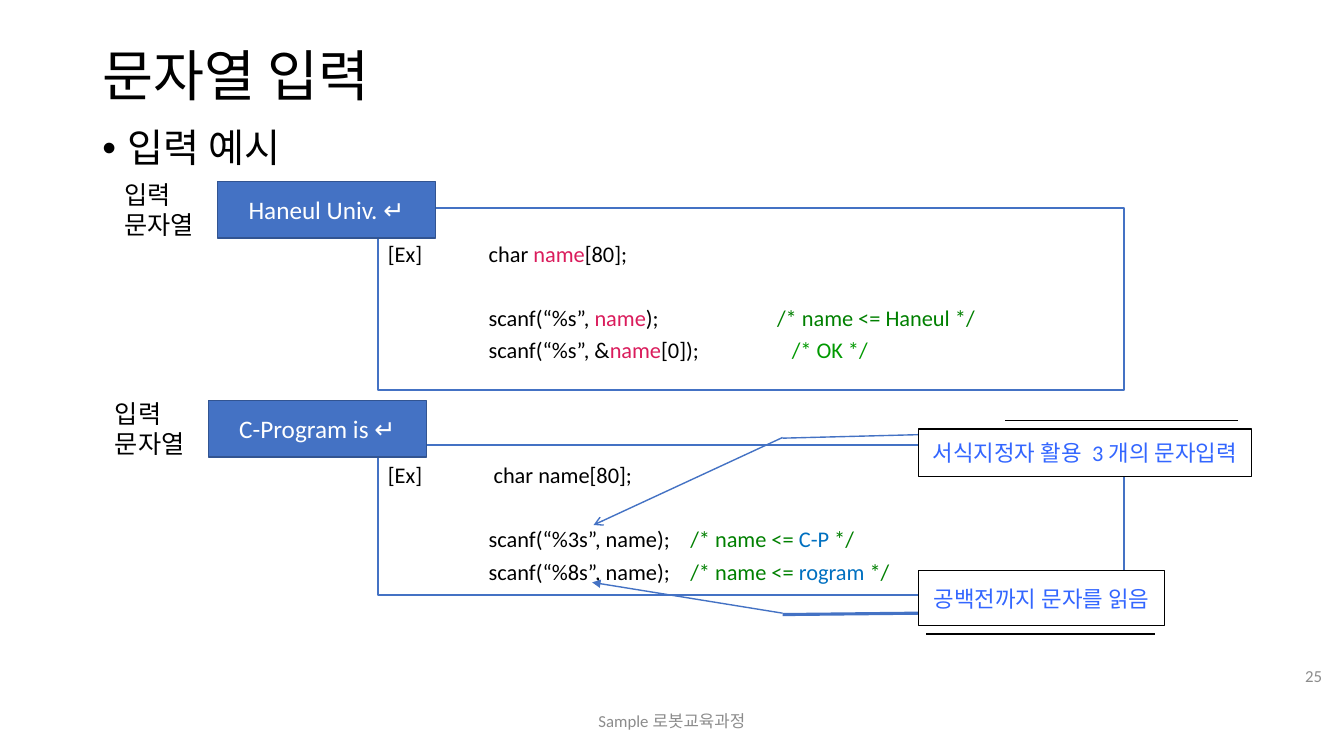
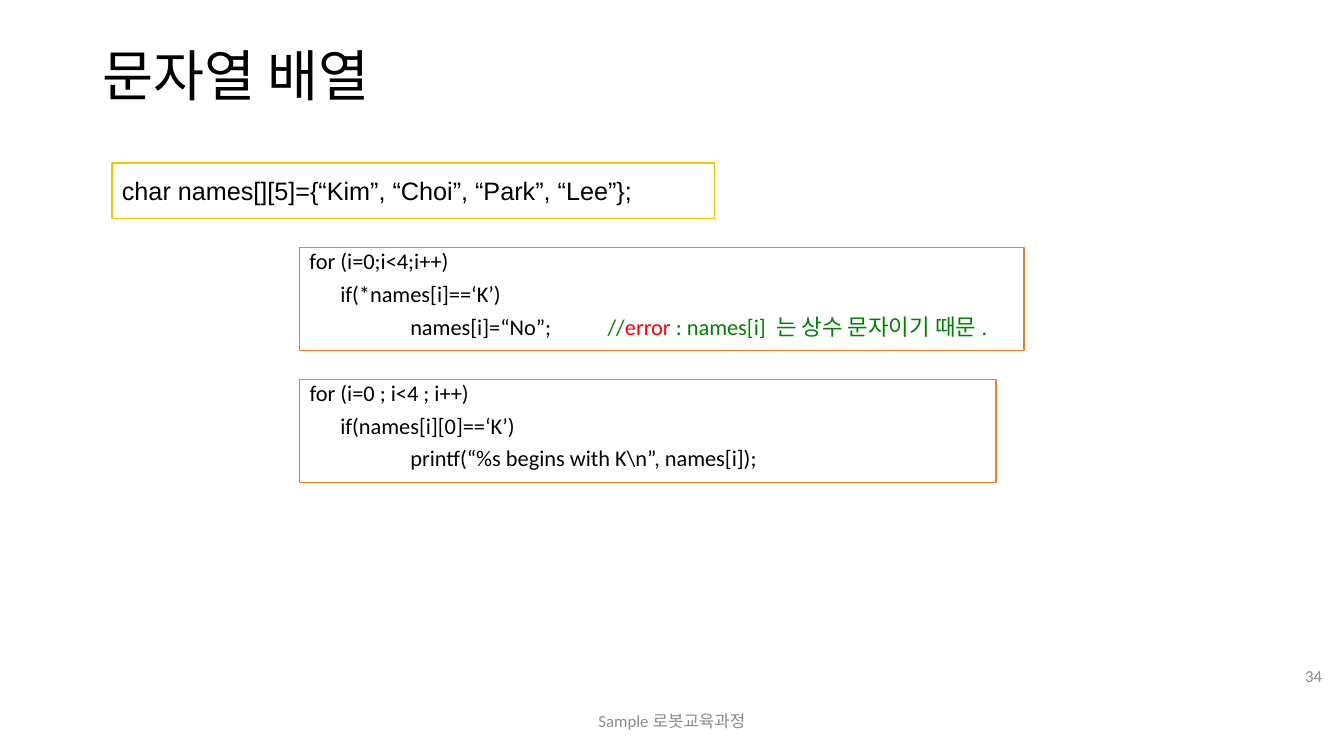
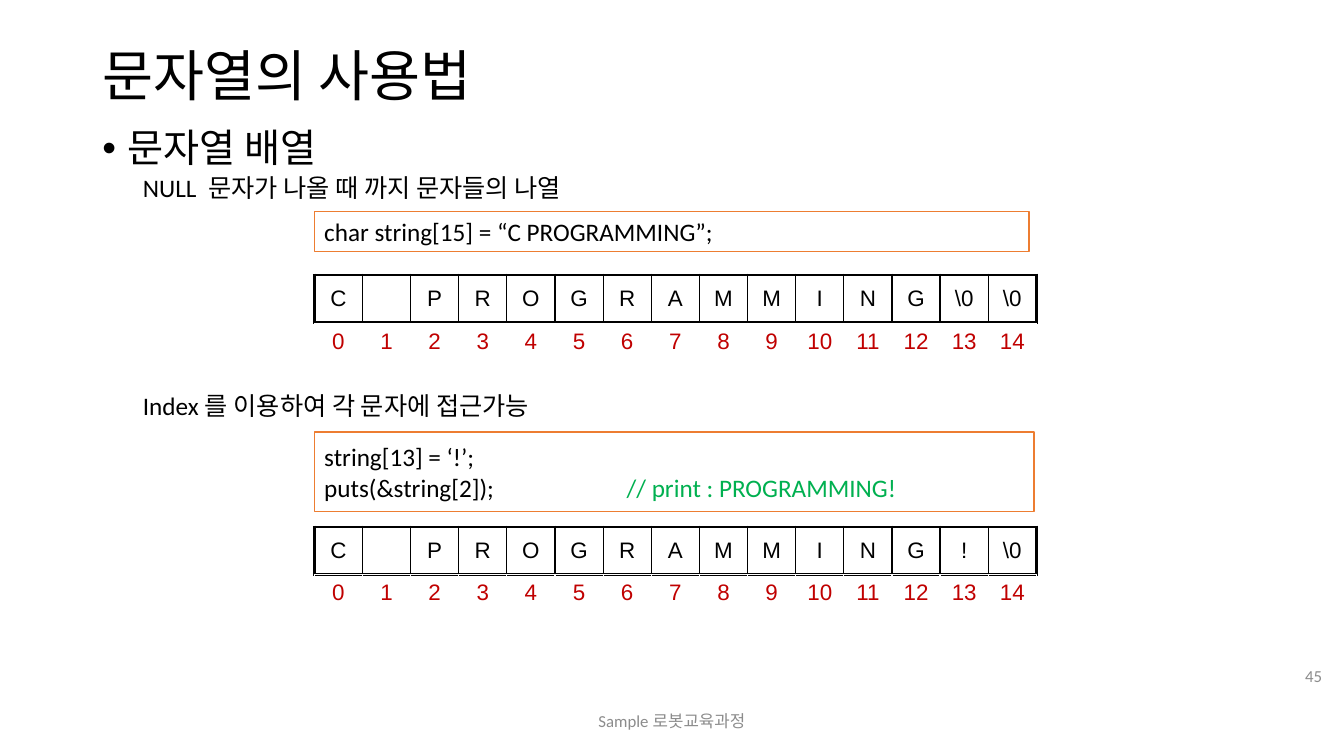
from pptx import Presentation
from pptx.dml.color import RGBColor
from pptx.enum.shapes import MSO_CONNECTOR, MSO_SHAPE
from pptx.enum.text import MSO_ANCHOR, PP_ALIGN
from pptx.util import Pt
from lxml import etree

RECT, CALLOUT = MSO_SHAPE.RECTANGLE, MSO_SHAPE.LINE_CALLOUT_1
STRAIGHT = MSO_CONNECTOR.STRAIGHT
LEFT, CENTER, RIGHT = PP_ALIGN.LEFT, PP_ALIGN.CENTER, PP_ALIGN.RIGHT
TOP, MIDDLE = MSO_ANCHOR.TOP, MSO_ANCHOR.MIDDLE
A = "{http://schemas.openxmlformats.org/drawingml/2006/main}"

COLORS = {
    "black": "000000", "white": "FFFFFF", "gray": "8C8C8C",
    "blue": "4472C4", "navy": "325491", "orange": "ED7D31", "gold": "FFC000",
    "variable": "DA1C5C", "comment": "008000", "ok": "009900", "value": "0070C0",
    "note": "3366FF", "error": "FF0000", "print": "00B050", "index": "C00000",
}
RGB = {name: RGBColor.from_string(code) for name, code in COLORS.items()}


def add_box(slide, at, lines, size, color="black", font="Calibri", fill="white",
            line=None, kind=RECT, align=LEFT, anchor=MIDDLE, spacing=None, wrap=True):
    """Add a text box, or a shape if it has a line; each line is a list of (text, colour)."""
    at = [Pt(length) for length in at]
    if line:
        box = slide.shapes.add_shape(kind, *at)
        box.shadow.inherit = False
        box.fill.solid()
        box.fill.fore_color.rgb = RGB[fill]
        box.line.color.rgb = RGB[line]
        box.line.width = Pt(1)
    else:
        box = slide.shapes.add_textbox(*at)
    frame = box.text_frame
    frame.word_wrap = wrap
    frame.vertical_anchor = anchor
    for number, runs in enumerate(lines):
        paragraph = frame.add_paragraph() if number else frame.paragraphs[0]
        paragraph.alignment = align
        if spacing:
            paragraph.line_spacing = spacing
        for text, run_color in [(runs, color)] if isinstance(runs, str) else runs:
            run = paragraph.add_run()
            run.text = text
            run.font.size = Pt(size)
            run.font.name = font
            run.font.color.rgb = RGB[run_color]
    return box


def set_tabs(box, *stops_by_line):
    """Give each paragraph of a box its own tab stops."""
    for paragraph, stops in zip(box.text_frame.paragraphs, stops_by_line):
        tabs = etree.SubElement(paragraph._p.get_or_add_pPr(), A + "tabLst")
        for stop in stops:
            etree.SubElement(tabs, A + "tab", pos=str(Pt(stop)), algn="l")


prs = Presentation()
prs.slide_width, prs.slide_height = Pt(960), Pt(540)

# Shared title, bullet heading, footer and page number
slides = []
for title, heading, page in [("문자열 입력", "입력 예시", "25"),
                             ("문자열 배열", None, "34"),
                             ("문자열의 사용법", "문자열 배열", "45")]:
    slide = prs.slides.add_slide(prs.slide_layouts[6])
    add_box(slide, (66, 29, 828, 54), [title], 39.6, spacing=0.9)
    if heading:
        body = add_box(slide, (66, 88.5, 828, 398), [heading], 28, anchor=TOP, spacing=0.9)
        bullet = body.text_frame.paragraphs[0]._p.get_or_add_pPr()
        bullet.set("marL", str(Pt(18)))
        bullet.set("indent", str(Pt(-18)))
        etree.SubElement(bullet, A + "buFont", typeface="Arial")
        etree.SubElement(bullet, A + "buChar", char="•")
    add_box(slide, (318, 500.5, 324, 29), ["Sample로봇교육과정"], 12, "gray", align=CENTER)
    add_box(slide, (906.5, 468.5, 45, 29), [page], 12, "gray", align=RIGHT)
    slides.append(slide)
input_slide, array_slide, usage_slide = slides

# Input: code examples
word_code = add_box(input_slide, (270, 148.5, 533, 130), [
    [("[Ex]\tchar ", "black"), ("name", "variable"), ("[80];", "black")],
    [("\tscanf(“%s”, ", "black"), ("name", "variable"), (");", "black"),
     ("\t/* name <= Haneul */", "comment")],
    [("\tscanf(“%s”, &", "black"), ("name", "variable"), ("[0]);", "black"),
     ("\t/* OK */", "ok")],
], 16, line="blue", spacing=1.2)
set_tabs(word_code, [72], [72, 278], [72, 288.5])

width_code = add_box(input_slide, (270, 318, 533, 107), [
    "[Ex]\tchar name[80];",
    [("\tscanf(“%3s”, name);", "black"), ("\t/* name <= ", "comment"),
     ("C-P", "value"), (" */", "comment")],
    [("\tscanf(“%8s”, name);", "black"), ("\t/* name <= ", "comment"),
     ("rogram", "value"), (" */", "comment")],
], 16, line="blue", spacing=1.2)
set_tabs(width_code, [75.5], [72, 216], [72, 216])

for code in (word_code, width_code):
    code.text_frame.paragraphs[1].space_before = Pt(23)

# Input: pointers from the notes to the format specifiers
for start, end, weight, arrowhead in [
        ((656, 438), (559, 439), 2.25, None),
        ((559, 438), (423, 416), 1, "triangle"),
        ((656, 310.5), (559, 313), 1, None),
        ((559, 312.5), (424, 375), 1, "arrow")]:
    pointer = input_slide.shapes.add_connector(
        STRAIGHT, *[Pt(length) for length in start + end])
    pointer.line.color.rgb = RGB["blue"]
    pointer.line.width = Pt(weight)
    if arrowhead:
        etree.SubElement(pointer.line._get_or_add_ln(), A + "tailEnd", type=arrowhead)
    etree.SubElement(pointer._element.spPr, A + "effectLst")

# Input: notes
for at, note, adjustments in [
        ((656, 306.5, 238, 34), "서식지정자 활용 3개의 문자입력", (-0.18, 0.96, -0.18, 0.26)),
        ((656, 407.5, 176, 39.5), "공백전까지 문자를 읽음", (1.15, 0.96, 1.15, 0.03))]:
    callout = add_box(input_slide, at, [note], 16, "note", line="black",
                      kind=CALLOUT, align=CENTER, wrap=False)
    for number, value in enumerate(adjustments):
        callout.adjustments[number] = value

# Input: typed strings with their labels
for left, top, typed in [(155.5, 129.5, "Haneul Univ. ↵"), (149, 286, "C-Program is ↵")]:
    add_box(input_slide, (left, top, 155.5, 40.5), [typed], 18, "white",
            fill="blue", line="navy", align=CENTER)
    add_box(input_slide, (left - 74, top - 5, 73.5, 51), ["입력 문자열"], 18, anchor=TOP)

# Array: declaration and two loops
add_box(array_slide, (80, 116.5, 430.5, 39.5),
        ["char names[][5]={“Kim”, “Choi”, “Park”, “Lee”};"], 18, font="Arial", line="gold")
for top, width, lines in [
        (177, 517.5, ["for (i=0;i<4;i++)", "\tif(*names[i]==‘K’)",
                      [("\tnames[i]=“No”;", "black"), ("\t//", "comment"), ("error ", "error"),
                       (": names[i] 는 상수 문자이기 때문.", "comment")]]),
        (271, 497.5, ["for (i=0 ; i<4 ; i++)", "\tif(names[i][0]==‘K’)",
                      "\tprintf(“%s begins with K\\n”, names[i]);"])]:
    loop_code = add_box(array_slide, (214, top, width, 73.5), lines, 16,
                        line="orange", anchor=TOP, spacing=0.8)
    for paragraph in loop_code.text_frame.paragraphs:
        paragraph.space_before = Pt(8)
    set_tabs(loop_code, [], [22], [72, 213])

# Usage: explanations and code
for top, explanation in [(119.5, "NULL 문자가 나올 때 까지 문자들의 나열"),
                         (275, "Index를 이용하여 각 문자에 접근가능")]:
    add_box(usage_slide, (95, top, 456.5, 29), [explanation], 18, anchor=TOP)
add_box(usage_slide, (224.5, 151, 510.5, 28.5),
        ["char string[15] = “C PROGRAMMING”;"], 18, line="orange")
access_code = add_box(usage_slide, (224.5, 308.5, 514, 57), [
    "string[13] = ‘!’;",
    [("puts(&string[2]);", "black"), ("\t// print : PROGRAMMING!", "print")],
], 18, line="orange")
set_tabs(access_code, [], [216])

# Usage: memory cells, each strip above its indexes
CELL = 34.4
letters = list("C PROGRAMMING")
indexes = [str(number) for number in range(15)]
for top, height, values, color in [
        (196.5, 34, letters + [r"\0", r"\0"], "black"),
        (231, 26.5, indexes, "index"),
        (376.5, 34, letters + ["!", r"\0"], "black"),
        (410.5, 26.5, indexes, "index")]:
    strip = usage_slide.shapes.add_table(
        1, len(values), Pt(224.5), Pt(top), Pt(CELL * len(values)), Pt(height)).table
    strip.first_row = strip.horz_banding = False
    for column, value in enumerate(values):
        strip.columns[column].width = Pt(CELL)
        cell = strip.cell(0, column)
        cell.fill.background()
        cell.vertical_anchor = MIDDLE
        cell.text = value.strip()
        paragraph = cell.text_frame.paragraphs[0]
        paragraph.alignment = CENTER
        for run in paragraph.runs:
            run.font.size = Pt(16)
            run.font.name = "Arial"
            run.font.color.rgb = RGB[color]
        if values is indexes:
            continue
        borders = [("lnL", 1 if column else 2.25),
                   ("lnR", 1 if column < len(values) - 1 else 2.25),
                   ("lnT", 2.25), ("lnB", 2.25)]
        for position, (side, weight) in enumerate(borders):
            border = etree.Element(A + side, w=str(Pt(weight)))
            paint = etree.SubElement(border, A + "solidFill")
            etree.SubElement(paint, A + "srgbClr", val=COLORS["black"])
            cell._tc.get_or_add_tcPr().insert(position, border)

prs.save("out.pptx")
